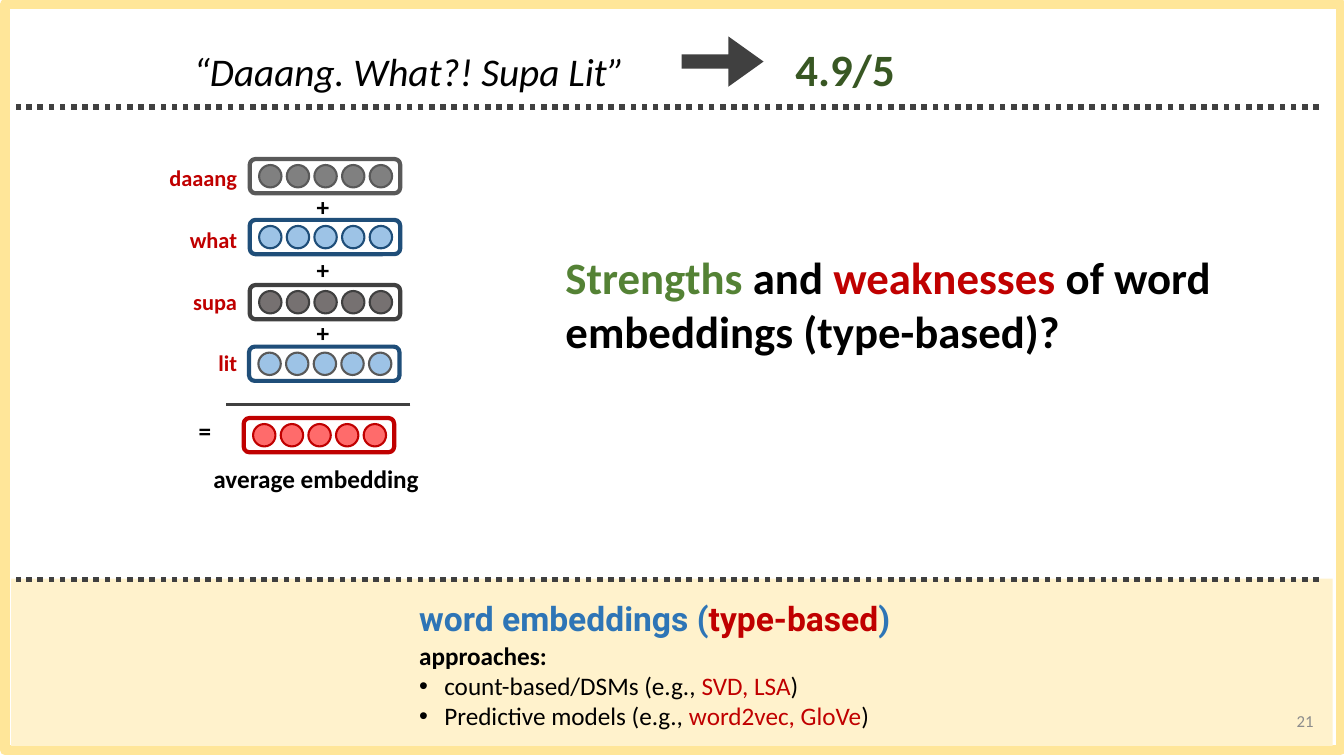
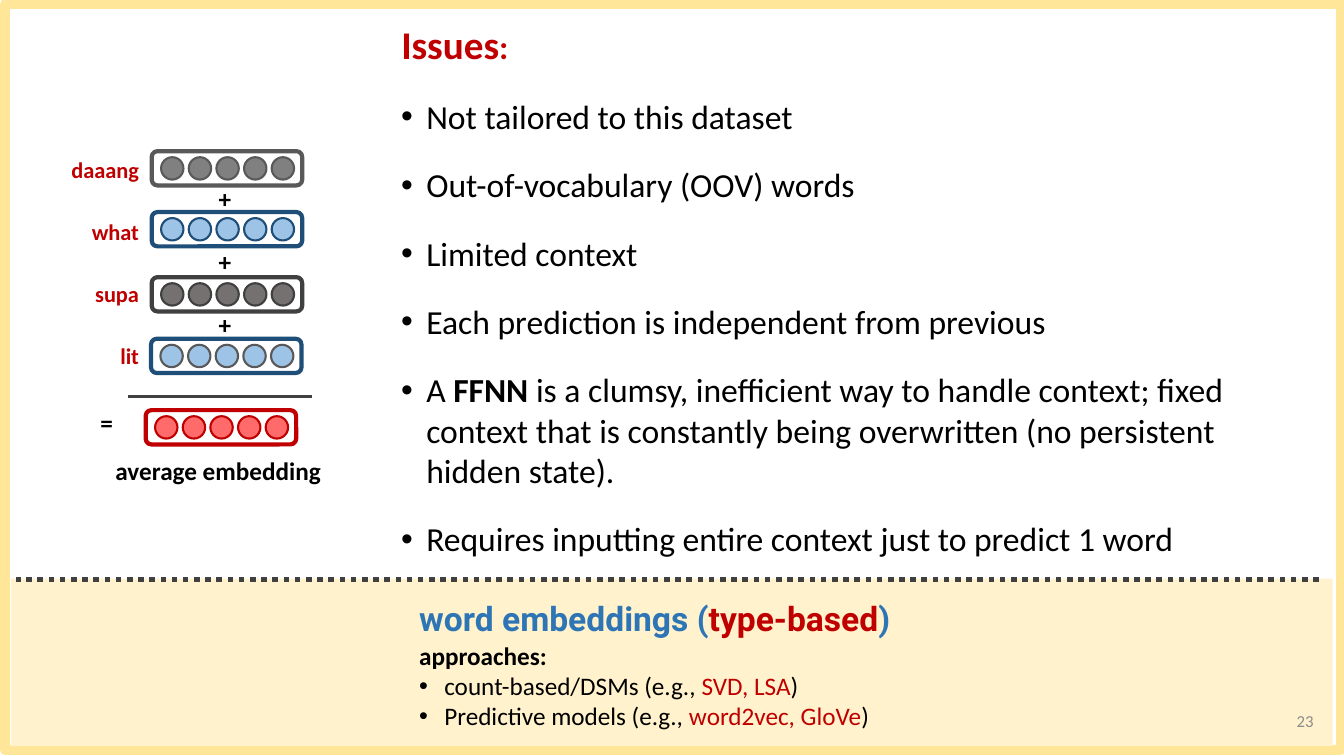
"""Build two slides on the strengths and issues of type-based word embeddings."""
from dataclasses import dataclass

from lxml.etree import SubElement
from pptx import Presentation
from pptx.dml.color import RGBColor
from pptx.enum.dml import MSO_LINE
from pptx.enum.shapes import MSO_CONNECTOR, MSO_SHAPE
from pptx.enum.text import MSO_ANCHOR, MSO_AUTO_SIZE, PP_ALIGN
from pptx.oxml.ns import qn
from pptx.util import Pt


@dataclass(frozen=True)
class Theme:
    """Colours, fonts and type sizes of the deck."""
    white: str = "FFFFFF"
    black: str = "000000"
    frame: str = "FFE699"
    band: str = "FFF2CC"
    dark: str = "404040"
    gray: str = "595959"
    mid_gray: str = "808080"
    warm_gray: str = "767171"
    page: str = "8C8C8C"
    red: str = "C00000"
    light_red: str = "FF6B6B"
    blue: str = "2E75B6"
    navy: str = "1F4E79"
    light_blue: str = "9DC3E6"
    green: str = "548235"
    dark_green: str = "385723"
    body_font: str = "Calibri"
    topic_font: str = "Roboto"
    headline: int = 32
    heading: int = 28
    body: int = 24
    note: int = 18
    label: int = 16
    small: int = 12


T = Theme()
RULE_LEFT, RULE_RIGHT = 11.5, 942


def rgb(color):
    """Turn a hex string into a colour."""
    return RGBColor.from_string(color)


def add_runs(p, size, *runs, font=T.body_font):
    """Append runs given as (text, colour, style letters) to a paragraph."""
    for text, color, style in runs:
        r = p.add_run()
        r.text = text
        r.font.name, r.font.size = font, Pt(size)
        r.font.color.rgb = rgb(color)
        r.font.bold, r.font.italic = "b" in style, "i" in style


def add_text(s, box, size, *paragraphs, align=PP_ALIGN.LEFT, before=0,
             spacing=None, bullets_from=None, wrap=True, font=T.body_font):
    """Add a text box whose paragraphs are lists of runs."""
    tf = s.shapes.add_textbox(*map(Pt, box)).text_frame
    tf.word_wrap = wrap
    for i, runs in enumerate(paragraphs):
        p = tf.paragraphs[0] if i == 0 else tf.add_paragraph()
        p.alignment, p.space_before = align, Pt(before)
        if spacing:
            p.line_spacing = spacing
        if bullets_from is not None and i >= bullets_from:
            add_bullet(p)
        add_runs(p, size, *runs, font=font)
    return tf


def add_bullet(p):
    """Give a paragraph a hanging bullet."""
    pPr = p._p.get_or_add_pPr()
    pPr.set("marL", str(Pt(18)))
    pPr.set("indent", str(-Pt(18)))
    SubElement(pPr, qn("a:buFont")).set("typeface", "Arial")
    SubElement(pPr, qn("a:buChar")).set("char", "•")


def add_title(s, box):
    """Place the title placeholder and return its paragraph."""
    sp = s.shapes.title
    sp.left, sp.top, sp.width, sp.height = map(Pt, box)
    tf = sp.text_frame
    tf.word_wrap, tf.auto_size = True, MSO_AUTO_SIZE.NONE
    tf.vertical_anchor = MSO_ANCHOR.TOP
    p = tf.paragraphs[0]
    p.alignment = PP_ALIGN.LEFT
    return p


def add_shape(parent, kind, box, fill=None, line=None, weight=1.5):
    """Add a preset shape without shadow."""
    sp = parent.shapes.add_shape(kind, *map(Pt, box))
    sp.shadow.inherit = False
    if fill:
        sp.fill.solid()
        sp.fill.fore_color.rgb = rgb(fill)
    else:
        sp.fill.background()
    if line:
        sp.line.color.rgb, sp.line.width = rgb(line), Pt(weight)
    else:
        sp.line.fill.background()
    return sp


def add_rule(s, left, right, y, weight, dash=None):
    """Add a horizontal rule drawn from right to left."""
    cx = s.shapes.add_connector(MSO_CONNECTOR.STRAIGHT,
                                Pt(right), Pt(y), Pt(left), Pt(y))
    cx.line.color.rgb, cx.line.width = rgb(T.dark), Pt(weight)
    if dash:
        cx.line.dash_style = dash
    SubElement(cx.element.spPr, qn("a:effectLst"))
    return cx


def add_dotted_rule(s, y):
    """Add a dotted rule across the slide."""
    return add_rule(s, RULE_LEFT, RULE_RIGHT, y, 4, MSO_LINE.ROUND_DOT)


def add_vector(s, left, top, fill, line, box_line):
    """Add a grouped embedding vector of five units."""
    group = s.shapes.add_group_shape()
    add_shape(group, MSO_SHAPE.ROUNDED_RECTANGLE, (left, top, 107.5, 24.5),
              line=box_line, weight=3)
    for i in range(5):
        add_shape(group, MSO_SHAPE.OVAL,
                  (left + 6.7 + 19.75 * i, top + 4.3, 16, 16), fill, line)


def add_embedding_sum(s, x, y):
    """Add the word vectors, their sum signs and the average."""
    vectors = (
        (97, 0, T.mid_gray, T.gray, T.gray),
        (97, 43.5, T.light_blue, T.navy, T.navy),
        (97, 90, T.warm_gray, T.dark, T.dark),
        (96.5, 134, T.light_blue, T.gray, T.navy),
        (92.7, 185, T.light_red, T.red, T.red),
    )
    for dx, dy, *colors in vectors:
        add_vector(s, x + dx, y + dy, *colors)
    words = [[(word, T.red, "b")] for word in ("daaang", "what", "supa", "lit")]
    add_text(s, (x, y, 95, 222), T.label, *words,
             align=PP_ALIGN.RIGHT, before=25)
    signs = [("+", 137.7, 19.3 + 45.2 * i) for i in range(3)] + [("=", 53.3, 179.3)]
    for sign, dx, dy in signs:
        add_text(s, (x + dx, y + dy, 27, 29), T.note,
                 [(sign, T.black, "b")], wrap=False)
    add_rule(s, x + 80, x + 211.7, y + 175.3, 2.25)
    add_text(s, (x + 45.4, y + 214, 198, 29), T.note,
             [("average embedding", T.black, "b")], align=PP_ALIGN.CENTER)


def decorate_layout(layout, s):
    """Move the frame, band and rule that all slides share into the layout."""
    decor = (
        add_shape(s, MSO_SHAPE.RECTANGLE, (3.6, 3, 954, 533),
                  T.white, T.frame, 7),
        add_shape(s, MSO_SHAPE.RECTANGLE, (8, 413.3, 944, 119.5), T.band),
        add_dotted_rule(s, 414),
    )
    for i, sp in enumerate(decor, start=2):
        layout.shapes.element.insert(i, sp.element)


def add_topic(s, number):
    """Add the topic text and the slide number in the band."""
    add_text(s, (292.3, 423.4, 469.5, 45), T.body,
             [("word embeddings (", T.blue, "b"), ("type-based", T.red, "b"),
              (")", T.blue, "b")], font=T.topic_font)
    add_text(s, (292.3, 453.6, 376, 75), T.note,
             [("approaches:", T.black, "b")],
             [("count-based/DSMs (e.g., ", T.black, ""),
              ("SVD, LSA", T.red, ""), (")", T.black, "")],
             [("Predictive models (e.g., ", T.black, ""),
              ("word2vec, GloVe", T.red, ""), (")", T.black, "")],
             bullets_from=1)
    tf = add_text(s, (729.5, 500.5, 216, 29), T.small,
                  [(number, T.page, "")], align=PP_ALIGN.RIGHT)
    tf.vertical_anchor = MSO_ANCHOR.MIDDLE


def build_question(s):
    """Build the slide that asks for strengths and weaknesses."""
    add_runs(add_title(s, (396.7, 175, 482.5, 80)), T.headline,
             ("Strengths ", T.green, "b"), ("and ", T.black, "b"),
             ("weaknesses", T.red, "b"),
             (" of word embeddings (type-based)?", T.black, "b"))
    add_topic(s, "21")
    add_text(s, (51, 13.7, 482.5, 71), T.heading,
             [("“Daaang. What?! Supa Lit”", T.black, "i")],
             align=PP_ALIGN.CENTER, before=10, spacing=1.5)
    add_text(s, (535.7, 7.2, 136, 55), T.headline,
             [("4.9/5", T.dark_green, "b")],
             align=PP_ALIGN.CENTER, before=10, spacing=1.5)
    arrow = add_shape(s, MSO_SHAPE.RIGHT_ARROW, (486.9, 26, 58.5, 36), T.dark)
    arrow.adjustments[0], arrow.adjustments[1] = 0.28, 0.7
    add_embedding_sum(s, 81.4, 113.6)
    add_dotted_rule(s, 76.3)


def build_issues(s):
    """Build the slide that lists the issues."""
    p = add_title(s, (279.4, 10.8, 646, 44))
    add_runs(p, T.heading, ("Issues", T.red, "b"))
    add_runs(p, T.body, (":", T.red, "b"))
    add_topic(s, "23")
    add_embedding_sum(s, 11.4, 108)
    plain = [[(text, T.black, "")] for text in (
        "Not tailored to this dataset",
        "Out-of-vocabulary (OOV) words",
        "Limited context",
        "Each prediction is independent from previous",
        "Requires inputting entire context just to predict 1 word",
    )]
    ffnn = [("A ", T.black, ""), ("FFNN ", T.black, "b"),
            ("is a clumsy, inefficient way to handle context; fixed context "
             "that is constantly being overwritten (no persistent hidden "
             "state).", T.black, "")]
    add_text(s, (279.4, 65, 646, 345), T.body, *plain[:-1], ffnn, plain[-1],
             before=20, bullets_from=0)


def main():
    """Build and save the presentation."""
    prs = Presentation()
    prs.slide_width, prs.slide_height = Pt(960), Pt(540)
    layout = prs.slide_layouts[5]
    question, issues = (prs.slides.add_slide(layout) for _ in range(2))
    decorate_layout(layout, question)
    build_question(question)
    build_issues(issues)
    prs.save("out.pptx")


if __name__ == "__main__":
    main()
